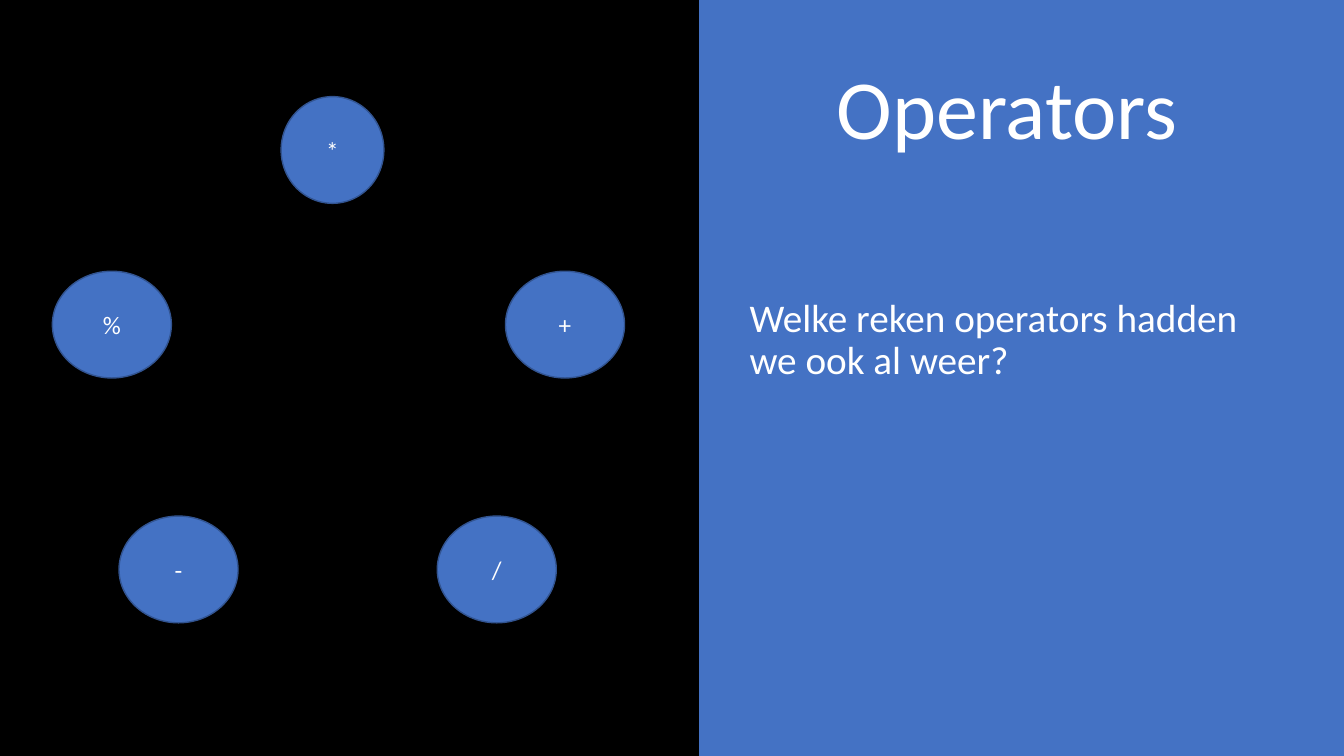
import pptx
import pptx.dml.color
import pptx.enum.shapes
import pptx.enum.text
import pptx.util
from pptx.util import Cm

RGB = pptx.dml.color.RGBColor
ALIGN = pptx.enum.text.PP_ALIGN
ANCHOR = pptx.enum.text.MSO_ANCHOR

THEME = {
    "font": "Calibri",
    "black": RGB(0x00, 0x00, 0x00),
    "blue": RGB(0x44, 0x72, 0xC4),
    "outline": RGB(0x32, 0x54, 0x91),
    "white": RGB(0xFF, 0xFF, 0xFF),
    "title": pptx.util.Pt(60),
    "body": pptx.util.Pt(28),
    "operator": pptx.util.Pt(18),
    "line": pptx.util.Pt(1),
}


def write(sp, text, size, align, anchor, spacing=1.0):
    tf = sp.text_frame
    tf.word_wrap = True
    tf.vertical_anchor = anchor
    p = tf.paragraphs[0]
    p.alignment = align
    p.line_spacing = spacing
    r = p.add_run()
    r.text = text
    r.font.name = THEME["font"]
    r.font.size = THEME[size]
    r.font.color.rgb = THEME["white"]


prs = pptx.Presentation()
prs.slide_width = Cm(33.87)
prs.slide_height = Cm(19.05)
s = prs.slides.add_slide(prs.slide_layouts[6])

fill = s.background.fill
fill.gradient()
fill.gradient_angle = 0
for stop, colour in zip(fill.gradient_stops, ("black", "blue")):
    stop.position = 0.52
    stop.color.rgb = THEME[colour]

title = s.shapes.add_textbox(Cm(17.48), Cm(1.55), Cm(15.8), Cm(16.33))
write(title, "Operators", "title", ALIGN.CENTER, ANCHOR.TOP, 0.9)

question = s.shapes.add_textbox(Cm(18.64), Cm(7.39), Cm(13.61), Cm(10.49))
write(question, "Welke reken operators hadden we ook al weer?", "body", ALIGN.LEFT, ANCHOR.TOP, 0.9)

height = 2.69
operators = [
    ("*", 8.38, 3.78, 2.59),
    ("+", 14.24, 8.18, 3),
    ("/", 12.52, 14.35, 3),
    ("-", 4.5, 14.35, 3),
    ("%", 2.82, 8.18, 3),
]
for symbol, x, y, width in operators:
    sp = s.shapes.add_shape(
        pptx.enum.shapes.MSO_SHAPE.OVAL,
        Cm(x - width / 2), Cm(y - height / 2), Cm(width), Cm(height),
    )
    sp.shadow.inherit = False
    sp.fill.solid()
    sp.fill.fore_color.rgb = THEME["blue"]
    sp.line.color.rgb = THEME["outline"]
    sp.line.width = THEME["line"]
    write(sp, symbol, "operator", ALIGN.CENTER, ANCHOR.MIDDLE)

prs.save("out.pptx")
